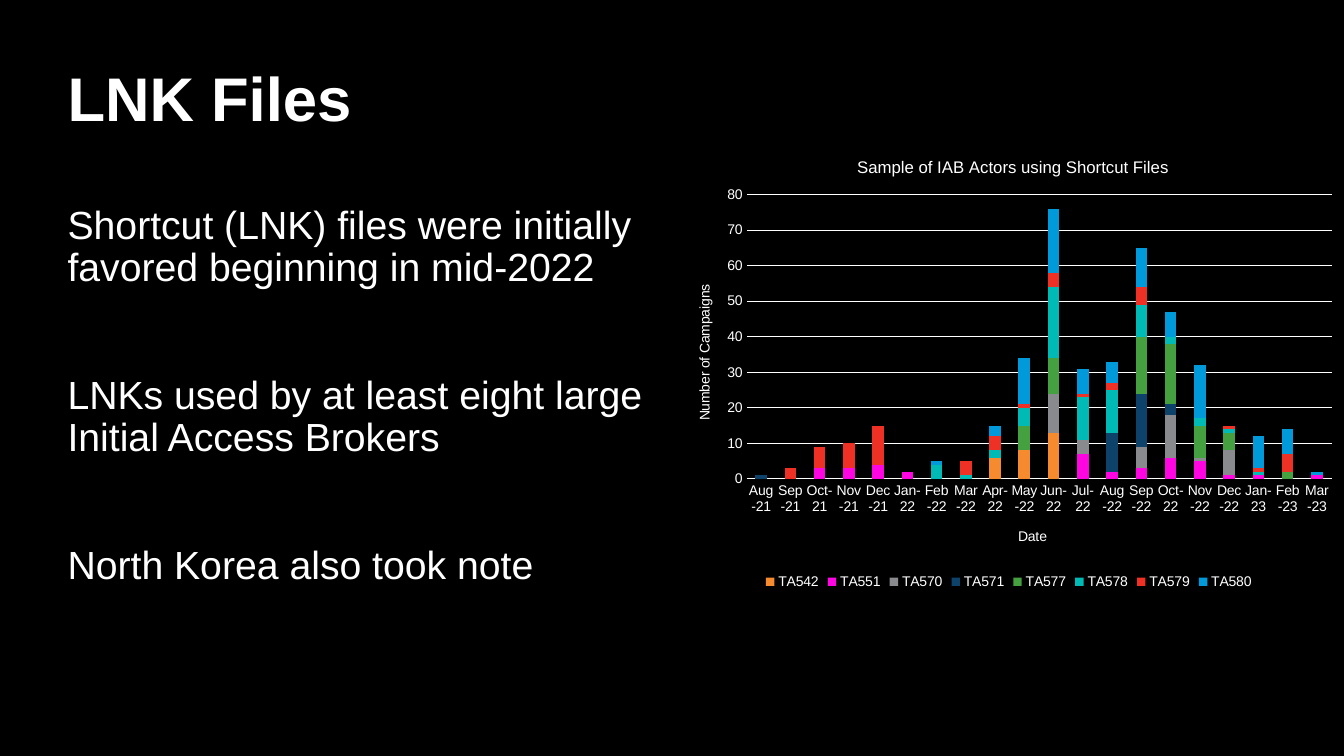
from pptx import Presentation
from pptx.chart.data import CategoryChartData
from pptx.dml.color import RGBColor
from pptx.enum.chart import XL_CHART_TYPE as CT, XL_LEGEND_POSITION as LP, XL_TICK_MARK as TM
from pptx.enum.text import MSO_ANCHOR as ANCHOR, MSO_AUTO_SIZE as AUTO, PP_ALIGN as ALIGN
from pptx.oxml import parse_xml
from pptx.oxml.ns import nsdecls, qn
from pptx.util import Inches, Pt

COLORS = {
    "bg": "000000", "text": "FFFFFF",
    "TA542": "F68A2E", "TA551": "FF05E1", "TA570": "898A8D", "TA571": "0D426A",
    "TA577": "45A040", "TA578": "00BAB6", "TA579": "EF3024", "TA580": "009ADA",
}
FONT = "Arial"
N = None
MONTHS = "Jan Feb Mar Apr May Jun Jul Aug Sep Oct Nov Dec".split()
DATES = [f"{MONTHS[m % 12]}-{21 + m // 12}" for m in range(7, 27)]
CAMPAIGNS = {
    "TA542": [N, N, N, N, N, N, N, N, 6, 8, 13, N, N, N, N, N, N, N, N, N],
    "TA551": [N, N, 3, 3, 4, 2, N, N, N, N, N, 7, 2, 3, 6, 5, 1, 1, N, 1],
    "TA570": [N, N, N, N, N, N, N, N, N, N, 11, 4, N, 6, 12, 1, 7, N, N, N],
    "TA571": [1, N, N, N, N, N, N, N, N, N, N, N, 11, 15, 3, N, N, N, N, N],
    "TA577": [N, N, N, N, N, N, N, N, N, 7, 10, N, N, 16, 17, 9, 5, N, 2, N],
    "TA578": [N, N, N, N, N, N, 4, 1, 2, 5, 20, 12, 12, 9, 2, 2, 1, 1, N, N],
    "TA579": [N, 3, 6, 7, 11, N, N, 4, 4, 1, 4, 1, 2, 5, N, N, 1, 1, 5, N],
    "TA580": [N, N, N, N, N, N, 1, N, 3, 13, 18, 7, 6, 11, 7, 15, N, 9, 7, 1],
}
POINTS = [
    "Shortcut (LNK) files were initially favored beginning in mid-2022",
    "LNKs used by at least eight large Initial Access Brokers",
    "North Korea also took note",
]


def rgb(name):
    """Return the named colour."""
    return RGBColor.from_string(COLORS[name])


def style_font(font, size, bold=False):
    """Give a font the slide's typeface and colour."""
    font.name, font.size, font.bold = FONT, Pt(size), bold
    font.color.rgb = rgb("text")


def write(p, text, size, bold=False, **fmt):
    """Write one run into a paragraph and set the paragraph's format."""
    r = p.add_run()
    r.text = text
    style_font(r.font, size, bold)
    for key, value in fmt.items():
        setattr(p, key, value)


def prepare(sp, box, anchor):
    """Move a placeholder to its box and return its bare text frame."""
    sp.left, sp.top, sp.width, sp.height = [Inches(v) for v in box]
    tf = sp.text_frame
    tf.margin_left = tf.margin_top = tf.margin_right = tf.margin_bottom = 0
    tf.word_wrap, tf.auto_size, tf.vertical_anchor = True, AUTO.NONE, anchor
    return tf


def add_title(s, box):
    """Fill the title placeholder."""
    tf = prepare(s.shapes.title, box, ANCHOR.BOTTOM)
    write(tf.paragraphs[0], "LNK Files", 44, bold=True, alignment=ALIGN.LEFT, line_spacing=0.9)


def add_points(s, box):
    """Fill the body placeholder with unbulleted, widely spaced points."""
    tf = prepare(s.placeholders[1], box, ANCHOR.TOP)
    for i, text in enumerate(POINTS):
        p = tf.add_paragraph() if i else tf.paragraphs[0]
        pPr = p._p.get_or_add_pPr()
        pPr.set("marL", "0")
        pPr.set("indent", "0")
        pPr.append(parse_xml(f"<a:buNone {nsdecls('a')}/>"))
        write(p, text, 28, alignment=ALIGN.LEFT, line_spacing=0.9,
              space_before=Pt(61 if i else 0), space_after=Pt(0))


def set_layout(parent, index, **pos):
    """Place a chart part by fractions of the chart's size."""
    for old in parent.findall(qn("c:layout")):
        parent.remove(old)
    target = '<c:layoutTarget val="inner"/>' if "w" in pos else ""
    modes = "".join(f'<c:{k}Mode val="edge"/>' for k in "xy")
    values = "".join(f'<c:{k} val="{v}"/>' for k, v in pos.items())
    parent.insert(index, parse_xml(
        f"<c:layout {nsdecls('c')}><c:manualLayout>{target}{modes}{values}"
        "</c:manualLayout></c:layout>"))


def add_chart_title(title, text, size, x, y):
    """Write a chart or axis title at a fixed place."""
    write(title.text_frame.paragraphs[0], text, size)
    set_layout(title._element, 1, x=x, y=y)


def add_campaign_chart(s, box):
    """Add the stacked columns of campaigns per month."""
    data = CategoryChartData()
    data.categories = DATES
    for name, values in CAMPAIGNS.items():
        data.add_series(name, values)
    chart = s.shapes.add_chart(CT.COLUMN_STACKED, *[Inches(v) for v in box], data).chart
    style_font(chart.font, 10)

    plot = chart.plots[0]
    plot.gap_width, plot.overlap, plot.vary_by_categories = 150, 100, False
    for series in plot.series:
        series.format.fill.solid()
        series.format.fill.fore_color.rgb = rgb(series.name)

    cat, val = chart.category_axis, chart.value_axis
    for axis in (cat, val):
        axis.major_tick_mark = axis.minor_tick_mark = TM.NONE
        style_font(axis.tick_labels.font, 10)
    val.minimum_scale, val.maximum_scale, val.major_unit = 0, 80, 10
    val.has_major_gridlines = True
    val.format.line.fill.background()
    for line in (cat.format.line, val.major_gridlines.format.line):
        line.color.rgb = rgb("text")
        line.width = Pt(0.75)

    chart.has_title = True
    add_chart_title(chart.chart_title, "Sample of IAB Actors using Shortcut Files", 12, 0.27, 0.04)
    add_chart_title(cat.axis_title, "Date", 10, 0.51, 0.85)
    add_chart_title(val.axis_title, "Number of Campaigns", 10, 0.03, 0.32)
    set_layout(plot._element.getparent(), 0, x=0.11, y=0.13, w=0.87, h=0.62)

    chart.has_legend = True
    chart.legend.position = LP.BOTTOM
    chart.legend.include_in_layout = False
    style_font(chart.legend.font, 10)


def main():
    """Build the slide and save it."""
    prs = Presentation()
    prs.slide_width, prs.slide_height = Inches(13.33), Inches(7.5)
    s = prs.slides.add_slide(prs.slide_layouts[1])
    s.background.fill.solid()
    s.background.fill.fore_color.rgb = rgb("bg")
    add_title(s, (0.67, 0, 11.99, 1.34))
    add_points(s, (0.67, 2.04, 6, 4.77))
    add_campaign_chart(s, (6.67, 1.34, 6.67, 4.55))
    prs.save("out.pptx")


if __name__ == "__main__":
    main()
